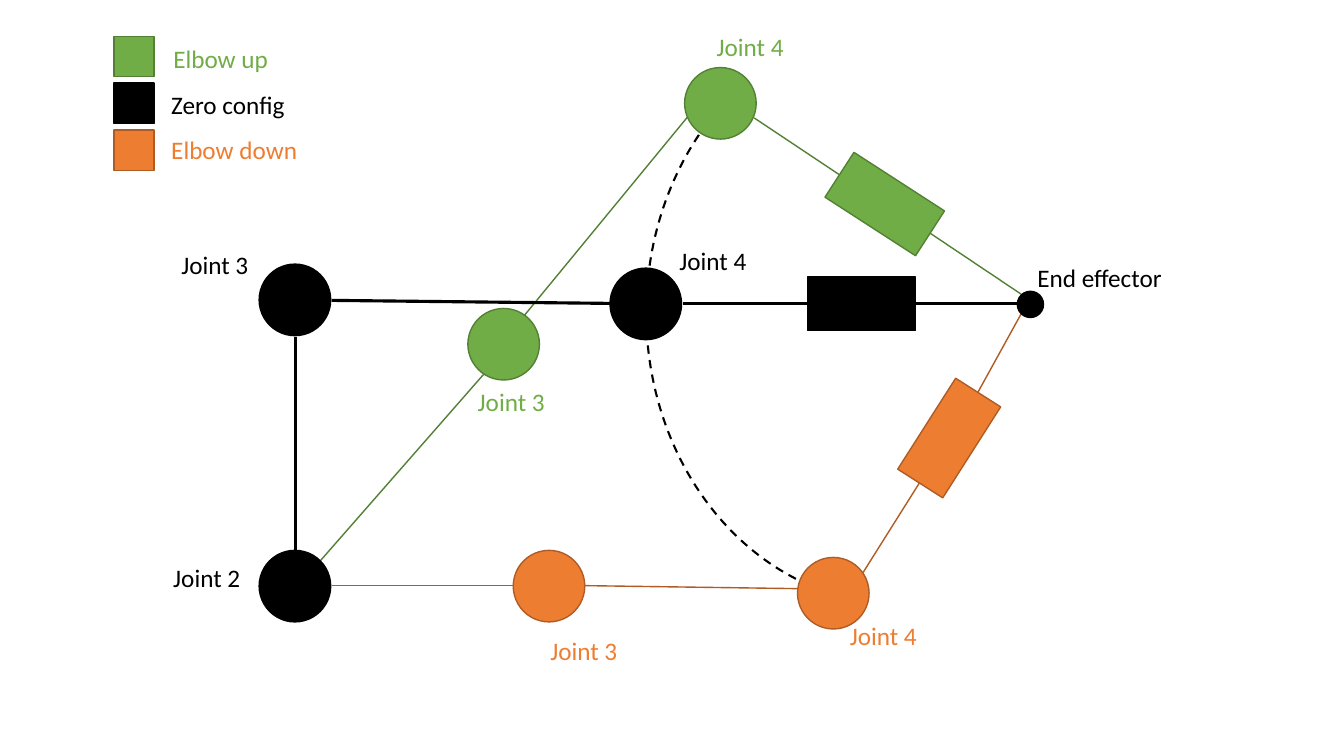
from pptx import Presentation
from pptx.dml.color import RGBColor
from pptx.enum.dml import MSO_LINE
from pptx.enum.shapes import MSO_CONNECTOR, MSO_SHAPE
from pptx.oxml.ns import qn
from pptx.util import Inches, Pt

STRAIGHT = MSO_CONNECTOR.STRAIGHT
ARC, OVAL, RECTANGLE = MSO_SHAPE.ARC, MSO_SHAPE.OVAL, MSO_SHAPE.RECTANGLE
DASH = MSO_LINE.DASH

FONT, TEXT_SIZE = "Calibri", 18
JOINT_SIZE, EFFECTOR_SIZE, KEY_SIZE = 0.71, 0.26, 0.4
LINK_BODY = (1.07, 0.53)
LABEL_HEIGHT, JOINT_LABEL_WIDTH = 0.4, 0.87
KEY_LEFT, KEY_TOP, KEY_STEP = 1.13, 0.36, 0.465

ELBOW_ARC = (6.41, 0.22, 4.99, 5.77)
ARC_ANGLES = (64.81, 137.94)
EFFECTOR = (10.09, 2.89)
EFFECTOR_LABEL = ("End effector", 10.19, 2.55, 1.45)

CONFIGS = [
    {
        "fill": "70AD47", "edge": "538035", "link_width": 1,
        "key": ("Elbow up", 1.62, 0.38, 1.15),
        "links": [(3.18, 5.56, 4.8, 3.71), (5.2, 3.13, 6.82, 1.16),
                  (7.48, 1.17, 8.32, 1.73), (9.22, 2.31, 10.13, 2.92)],
        "body": (8.24, 1.76, 32.9),
        "joints": [(4.64, 3.06), (6.79, 0.67)],
        "labels": [("Joint 3", 4.64, 3.78), ("Joint 4", 7.01, 0.26)],
    },
    {
        "fill": "000000", "edge": "000000", "link_width": 2.25,
        "key": ("Zero config", 1.6, 0.84, 1.34),
        "links": [(2.93, 3.34, 2.93, 5.46), (3.29, 2.98, 6.05, 3.01),
                  (6.77, 3.01, 8.01, 3.01), (9.08, 3.01, 10.09, 3.01)],
        "body": (8.01, 2.75, 0),
        "joints": [(2.57, 5.46), (2.57, 2.62), (6.05, 2.66)],
        "labels": [("Joint 2", 1.62, 5.53), ("Joint 3", 1.7, 2.42),
                   ("Joint 4", 6.64, 2.38)],
    },
    {
        "fill": "ED7D31", "edge": "AF5C24", "link_width": 1,
        "key": ("Elbow down", 1.6, 1.28, 1.47),
        "links": [(3.29, 5.81, 5.09, 5.81), (5.8, 5.81, 7.92, 5.84),
                  (8.56, 5.68, 9.12, 4.79), (9.7, 3.89, 10.13, 3.11)],
        "body": (8.88, 4.08, 302.5),
        "joints": [(5.09, 5.46), (7.91, 5.53)],
        "labels": [("Joint 3", 5.36, 6.25), ("Joint 4", 8.33, 6.11)],
    },
]

deck = Presentation()
deck.slide_width, deck.slide_height = Inches(13.33), Inches(7.5)
slide = deck.slides.add_slide(deck.slide_layouts[6])


def paint(color_format, color):
    color_format.rgb = RGBColor.from_string(color)


def add_solid(kind, left, top, width, height, fill, edge, turn=0):
    solid = slide.shapes.add_shape(kind, *map(Inches, (left, top, width, height)))
    solid.shadow.inherit = False
    solid.rotation = turn
    solid.fill.solid()
    paint(solid.fill.fore_color, fill)
    paint(solid.line.color, edge)
    solid.line.width = Pt(1)


def add_link(ends, color, width):
    link = slide.shapes.add_connector(STRAIGHT, *map(Inches, ends))
    properties = link._element.spPr
    paint(link.line.color, color)
    link.line.width = Pt(width)
    properties.append(properties.makeelement(qn("a:effectLst"), {}))


def add_label(text, left, top, width, color):
    label = slide.shapes.add_textbox(*map(Inches, (left, top, width, LABEL_HEIGHT)))
    label.text_frame.word_wrap = False
    run = label.text_frame.paragraphs[0].add_run()
    run.text = text
    run.font.name, run.font.size = FONT, Pt(TEXT_SIZE)
    paint(run.font.color, color)


elbow_path = slide.shapes.add_shape(ARC, *map(Inches, ELBOW_ARC))
elbow_path.shadow.inherit = False
elbow_path.fill.background()
paint(elbow_path.line.color, "000000")
elbow_path.line.width = Pt(1.5)
elbow_path.line.dash_style = DASH
for index, angle in enumerate(ARC_ANGLES):
    elbow_path.adjustments[index] = angle

for row, config in enumerate(CONFIGS):
    fill, edge = config["fill"], config["edge"]
    for ends in config["links"]:
        add_link(ends, edge, config["link_width"])
    left, top, turn = config["body"]
    add_solid(RECTANGLE, left, top, *LINK_BODY, fill, edge, turn)
    for left, top in config["joints"]:
        add_solid(OVAL, left, top, JOINT_SIZE, JOINT_SIZE, fill, edge)
    for text, left, top in config["labels"]:
        add_label(text, left, top, JOINT_LABEL_WIDTH, fill)
    add_solid(RECTANGLE, KEY_LEFT, KEY_TOP + row * KEY_STEP, KEY_SIZE, KEY_SIZE, fill, edge)
    add_label(*config["key"], fill)

add_solid(OVAL, *EFFECTOR, EFFECTOR_SIZE, EFFECTOR_SIZE, "000000", "000000")
add_label(*EFFECTOR_LABEL, "000000")

deck.save("out.pptx")
